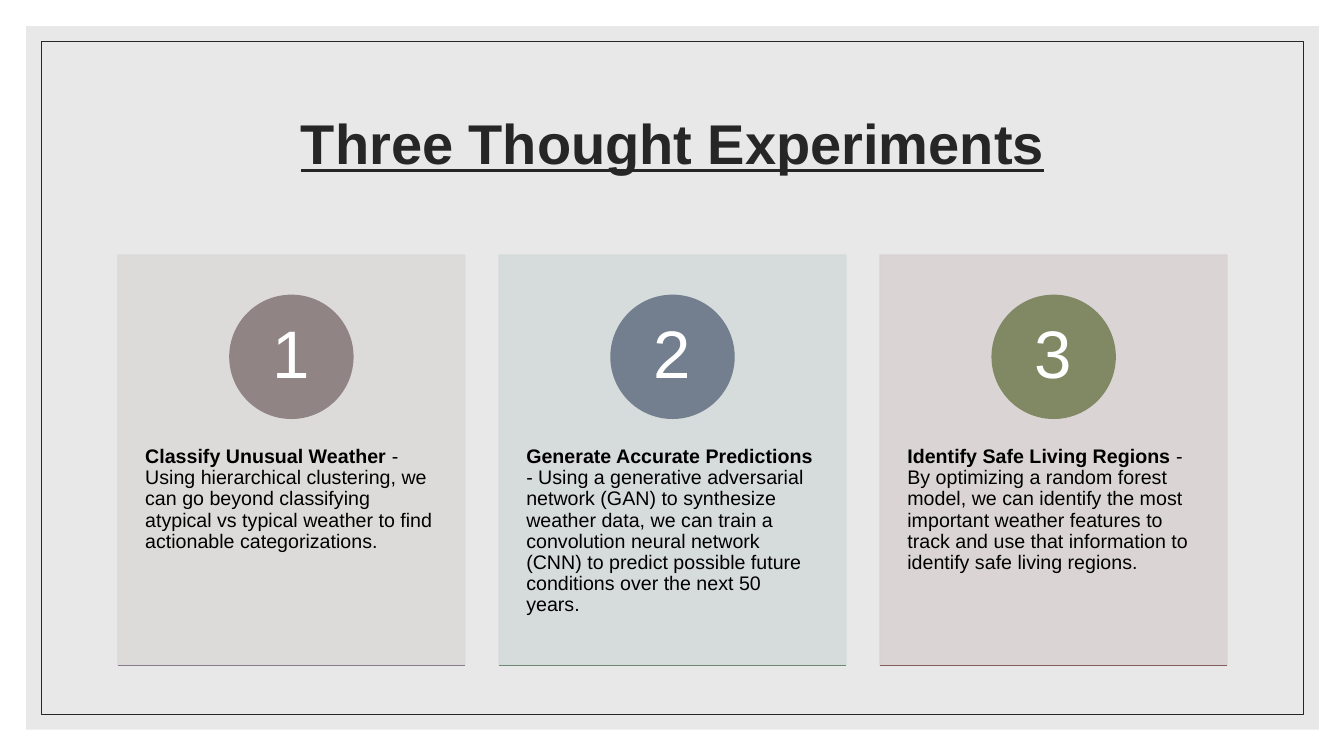
from lxml import etree
from pptx import Presentation
from pptx.dml.color import RGBColor
from pptx.enum.shapes import MSO_CONNECTOR, MSO_SHAPE
from pptx.enum.text import MSO_ANCHOR, PP_ALIGN
from pptx.oxml.ns import qn
from pptx.util import Inches, Pt

RECT, OVAL = MSO_SHAPE.RECTANGLE, MSO_SHAPE.OVAL
STRAIGHT = MSO_CONNECTOR.STRAIGHT
TOP, MIDDLE = MSO_ANCHOR.TOP, MSO_ANCHOR.MIDDLE
LEFT, CENTER = PP_ALIGN.LEFT, PP_ALIGN.CENTER

WHITE = RGBColor(0xFF, 0xFF, 0xFF)
BLACK = RGBColor(0, 0, 0)
INK = RGBColor(0x26, 0x26, 0x26)
PANEL_GREY = RGBColor(0xD9, 0xD9, 0xD9)

# Heading, description, card colour, circle colour, base line colour
EXPERIMENTS = [
    ("Classify Unusual Weather ",
     "- Using hierarchical clustering, we can go beyond classifying atypical "
     "vs typical weather to find actionable categorizations.",
     RGBColor(0xDC, 0xD9, 0xD9), RGBColor(0x91, 0x84, 0x85), RGBColor(0x8A, 0x7C, 0x8F)),
    ("Generate Accurate Predictions ",
     "- Using a generative adversarial network (GAN) to synthesize weather "
     "data, we can train a convolution neural network (CNN) to predict "
     "possible future conditions over the next 50 years.",
     RGBColor(0xD5, 0xDA, 0xDA), RGBColor(0x73, 0x7F, 0x8E), RGBColor(0x6B, 0x8B, 0x77)),
    ("Identify Safe Living Regions ",
     "- By optimizing a random forest model, we can identify the most "
     "important weather features to track and use that information to "
     "identify safe living regions.",
     RGBColor(0xD9, 0xD2, 0xD2), RGBColor(0x81, 0x88, 0x64), RGBColor(0x85, 0x5D, 0x5D)),
]


def write_text(frame, runs, size, color, align=LEFT, anchor=TOP, inset=(0.1, 0.05),
               underline=None):
    """Fill a text frame with one paragraph of (text, bold) runs."""
    frame.word_wrap = True
    frame.vertical_anchor = anchor
    frame.margin_left = frame.margin_right = Inches(inset[0])
    frame.margin_top = frame.margin_bottom = Inches(inset[1])
    paragraph = frame.paragraphs[0]
    paragraph.alignment = align
    paragraph.line_spacing = 0.9
    for text, bold in runs:
        run = paragraph.add_run()
        run.text = text
        run.font.name = "Arial"
        run.font.size = Pt(size)
        run.font.bold = bold
        run.font.underline = underline
        run.font.color.rgb = color


def add_box(kind, left, top, width, height, fill=None, line=None, weight=1, opacity=100):
    """Add a preset shape with an optional fill, outline and opacity."""
    box = slide.shapes.add_shape(kind, Inches(left), Inches(top), Inches(width), Inches(height))
    box.shadow.inherit = False
    if fill is None:
        box.fill.background()
    else:
        box.fill.solid()
        box.fill.fore_color.rgb = fill
    if line is None:
        box.line.fill.background()
    else:
        box.line.color.rgb = line
        box.line.width = Pt(weight)
    if opacity < 100:
        for color in box.element.spPr.iter(qn("a:srgbClr")):
            etree.SubElement(color, qn("a:alpha")).set("val", str(opacity * 1000))
    return box


prs = Presentation()
prs.slide_width, prs.slide_height = Inches(13.33), Inches(7.5)
slide = prs.slides.add_slide(prs.slide_layouts[5])

# Background panel and thin frame
slide.background.fill.solid()
slide.background.fill.fore_color.rgb = WHITE
add_box(RECT, 0.26, 0.26, 12.82, 6.98, fill=PANEL_GREY, opacity=60)
border = add_box(RECT, 0.41, 0.41, 12.52, 6.68, line=INK, weight=0.5)

# Title, lifted in front of the panel
title = slide.shapes.title
title.left, title.top = Inches(1.17), Inches(0.7)
title.width, title.height = Inches(11), Inches(1.5)
write_text(title.text_frame, [("Three Thought Experiments", True)], 40, INK,
           align=CENTER, anchor=MIDDLE, underline=True)
border.element.addnext(title.element)

# Three numbered cards
CARD_LEFT, CARD_TOP, CARD_WIDTH, CARD_HEIGHT = 1.17, 2.53, 3.44, 4.07
CARD_STEP = 3.78
CIRCLE = 1.22
for index, (heading, description, card_color, circle_color, base_color) in enumerate(EXPERIMENTS):
    left = CARD_LEFT + index * CARD_STEP
    bottom = CARD_TOP + CARD_HEIGHT
    add_box(RECT, left, CARD_TOP, CARD_WIDTH, CARD_HEIGHT,
            fill=card_color, line=card_color, opacity=90)

    summary = slide.shapes.add_textbox(Inches(left), Inches(4.07), Inches(CARD_WIDTH), Inches(2.44))
    write_text(summary.text_frame, [(heading, True), (description, False)], 14, BLACK,
               inset=(0.27, 0.36))

    number = add_box(OVAL, left + (CARD_WIDTH - CIRCLE) / 2, 2.93, CIRCLE, CIRCLE,
                     fill=circle_color, line=circle_color)
    write_text(number.text_frame, [(str(index + 1), False)], 48, WHITE,
               align=CENTER, anchor=MIDDLE, inset=(0.1, 0.01))

    base = slide.shapes.add_connector(STRAIGHT, Inches(left), Inches(bottom),
                                      Inches(left + CARD_WIDTH), Inches(bottom))
    base.line.color.rgb = base_color
    base.line.width = Pt(1)
    etree.SubElement(base.element.spPr, qn("a:effectLst"))

prs.save("out.pptx")
